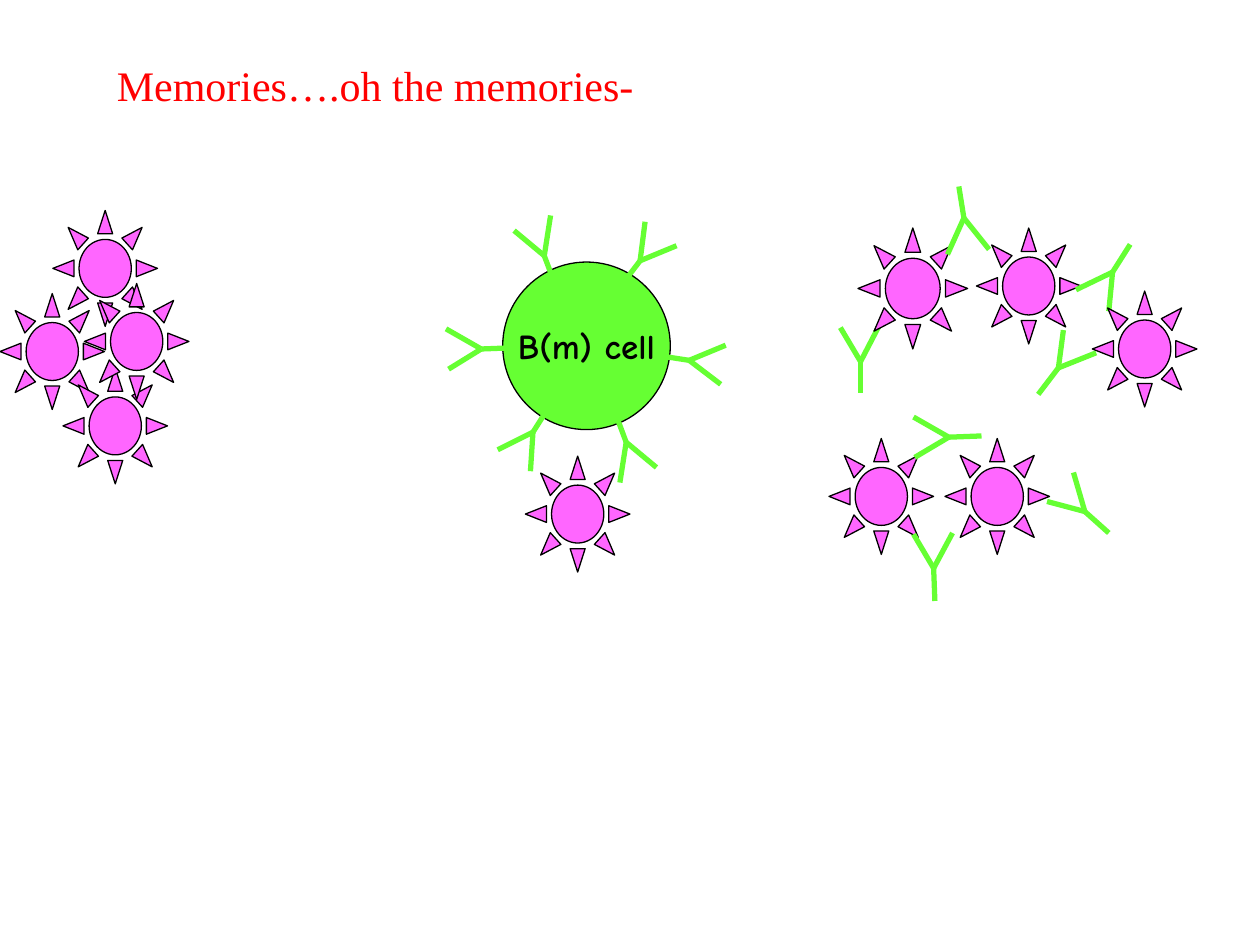
"""Build a slide on memory B cells, their receptors, antibodies and pathogens."""
from lxml import etree
from pptx import Presentation
from pptx.dml.color import RGBColor
from pptx.enum import shapes, text
from pptx.oxml.ns import qn
from pptx.util import Inches, Pt

COLORS = {"cell": "66FF33", "pathogen": "FF66FF", "outline": "000000", "title": "FF0000"}
TITLE = "Memories….oh the memories-"
CELL_LABEL = "B(m) cell"
PATHOGEN_SIZE = (0.83, 0.92)
LARGE_PATHOGEN_SIZE = (0.87, 0.96)

# Each Y is (tip, tip, hub, stem end).
LONE_ANTIBODY = [((6.67, 2.6), (6.98, 2.58), (6.83, 2.87), (6.83, 3.12))]
RECEPTORS = [
    ((4.21, 3.74), (3.95, 3.57), (4.23, 3.43), (4.37, 3.21)),
    ((5.21, 3.71), (4.92, 3.83), (4.97, 3.51), (4.88, 3.27)),
    ((5.76, 2.74), (5.72, 3.05), (5.47, 2.86), (5.21, 2.82)),
    ((3.56, 2.93), (3.54, 2.61), (3.82, 2.77), (4.08, 2.76)),
    ((5.12, 1.76), (5.37, 1.95), (5.08, 2.07), (4.92, 2.28)),
    ((4.08, 1.83), (4.37, 1.71), (4.32, 2.03), (4.41, 2.27)),
]
ANTIBODIES = [
    ((8.8, 2.47), (8.54, 2.3), (8.83, 2.16), (8.97, 1.94)),
    ((8.31, 3.98), (8.52, 3.75), (8.61, 4.06), (8.8, 4.23)),
    ((7.25, 4.24), (7.56, 4.23), (7.41, 4.51), (7.42, 4.77)),
    ((7.26, 3.63), (7.25, 3.31), (7.53, 3.47), (7.79, 3.46)),
    ((8.44, 2.62), (8.7, 2.8), (8.4, 2.92), (8.24, 3.13)),
    ((7.85, 1.98), (7.52, 2.02), (7.65, 1.73), (7.61, 1.48)),
]
FREE_PATHOGENS = [(0.42, 1.67), (4.17, 3.62), (0, 2.33), (0.5, 2.92), (0.67, 2.25)]
LARGE_PATHOGENS = [(6.81, 1.81)]
BOUND_PATHOGENS = [(6.58, 3.48), (7.75, 1.81)]
FRONT_PATHOGENS = [(8.67, 2.31), (7.5, 3.48)]


def color(name):
    return RGBColor.from_string(COLORS[name])


def add_body(slide, preset, left, top, width, height, fill):
    body = slide.shapes.add_shape(preset, *map(Inches, (left, top, width, height)))
    body.shadow.inherit = False
    body.fill.solid()
    body.fill.fore_color.rgb = color(fill)
    body.line.color.rgb = color("outline")
    body.line.width = Pt(0.75)
    return body


def add_pathogens(slide, corners, size=PATHOGEN_SIZE):
    for corner in corners:
        add_body(slide, shapes.MSO_SHAPE.SUN, *corner, *size, "pathogen")


def add_antibodies(slide, antibodies):
    for first_tip, second_tip, hub, stem_end in antibodies:
        for start, end in ((first_tip, hub), (second_tip, hub), (hub, stem_end)):
            arm = slide.shapes.add_connector(
                shapes.MSO_CONNECTOR.STRAIGHT, *map(Inches, (*start, *end)))
            arm.line.color.rgb = color("cell")
            arm.line.width = Pt(3)
            etree.SubElement(arm._element.spPr, qn("a:effectLst"))


def write(shape, wording, font_name, size, ink, bold=False):
    frame = shape.text_frame
    frame.word_wrap = False
    frame.text = wording
    font = frame.paragraphs[0].runs[0].font
    font.name, font.size, font.bold = font_name, Pt(size), bold
    font.color.rgb = color(ink)
    return frame


def main():
    prs = Presentation()
    prs.slide_width, prs.slide_height = Inches(10), Inches(7.5)
    slide = prs.slides.add_slide(prs.slide_layouts[6])

    add_antibodies(slide, LONE_ANTIBODY)
    cell = add_body(slide, shapes.MSO_SHAPE.OVAL, 3.99, 2.08, 1.33, 1.33, "cell")
    label = write(cell, CELL_LABEL, "Comic Neue", 20, "outline", bold=True)
    label.vertical_anchor = text.MSO_ANCHOR.MIDDLE
    label.paragraphs[0].alignment = text.PP_ALIGN.CENTER
    add_antibodies(slide, RECEPTORS)

    add_pathogens(slide, FREE_PATHOGENS)
    add_pathogens(slide, LARGE_PATHOGENS, LARGE_PATHOGEN_SIZE)
    add_pathogens(slide, BOUND_PATHOGENS)
    add_antibodies(slide, ANTIBODIES)
    add_pathogens(slide, FRONT_PATHOGENS)

    title = slide.shapes.add_textbox(*map(Inches, (0.83, 0.42, 4.34, 0.91)))
    write(title, TITLE, "Times New Roman", 24, "title")
    prs.save("out.pptx")


if __name__ == "__main__":
    main()
